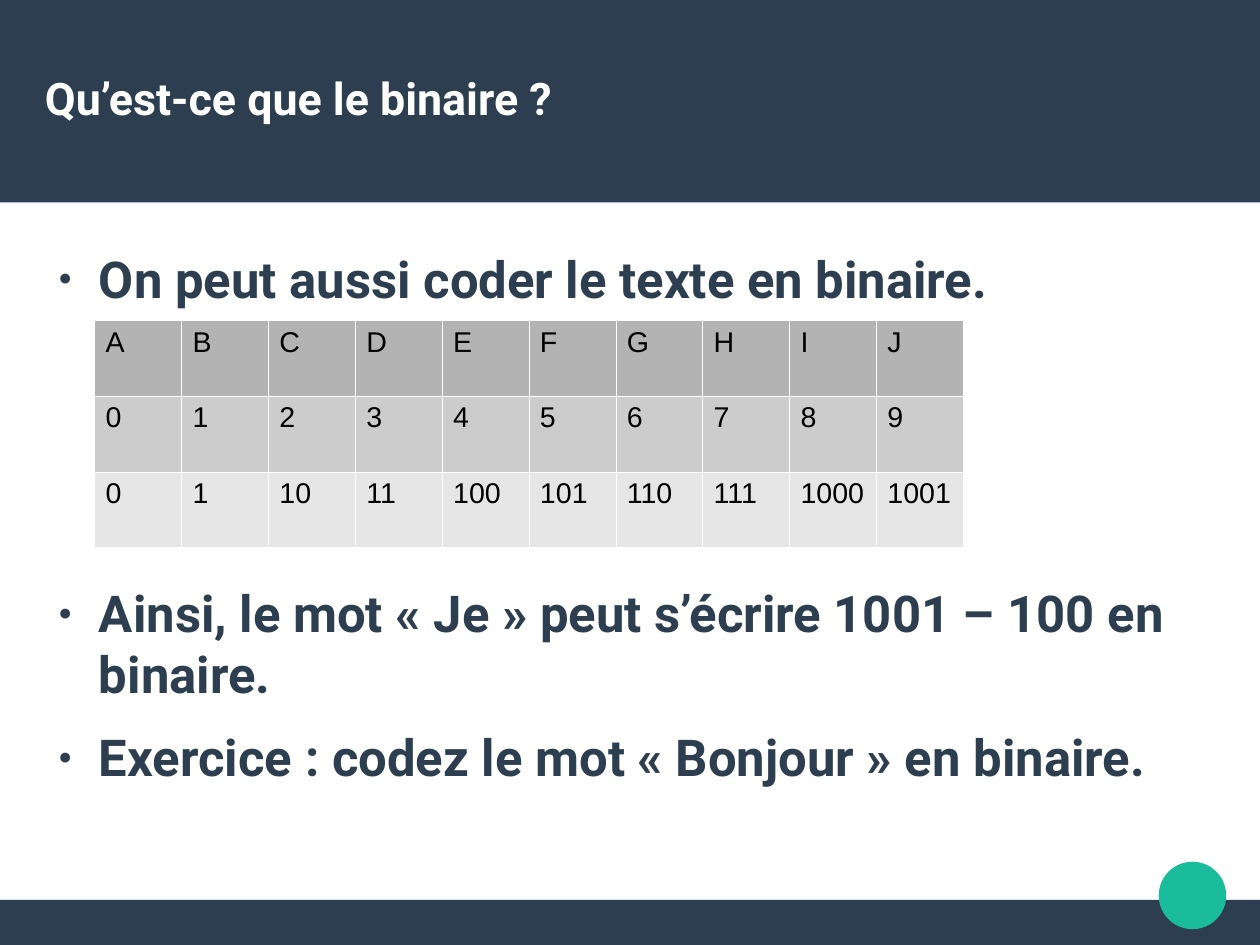
import dataclasses

import lxml.etree
import pptx
import pptx.dml.color
import pptx.enum.shapes
import pptx.enum.text
import pptx.oxml.ns
import pptx.shapes.base
import pptx.slide
import pptx.table
import pptx.text.text
import pptx.util

Cm = pptx.util.Cm
Pt = pptx.util.Pt
MSO_SHAPE = pptx.enum.shapes.MSO_SHAPE
MSO_ANCHOR = pptx.enum.text.MSO_ANCHOR

COLORS = {
    "navy": "2C3E50",
    "green": "1ABC9C",
    "white": "FFFFFF",
    "black": "000000",
    "letters": "B3B3B3",
    "decimal": "CCCCCC",
    "binary": "E6E6E6",
}
HEADING_FONT = "Roboto"
TABLE_FONT = "Arial"


@dataclasses.dataclass
class Decoration:
    preset: MSO_SHAPE
    left: float
    top: float
    width: float
    height: float
    color: str


@dataclasses.dataclass
class Point:
    text: str
    space_before: float = 0


@dataclasses.dataclass
class CodeRow:
    values: list[str]
    color: str


DECORATIONS = [
    Decoration(MSO_SHAPE.RECTANGLE, 0, 20, 28, 1, "navy"),
    Decoration(MSO_SHAPE.RECTANGLE, 0, 0, 28, 4.5, "navy"),
    Decoration(MSO_SHAPE.OVAL, 25.75, 19.15, 1.5, 1.5, "green"),
]
POINTS = [
    Point("On peut aussi coder le texte en binaire."),
    Point("Ainsi, le mot « Je » peut s’écrire 1001 – 100 en binaire.", 158),
    Point("Exercice : codez le mot « Bonjour » en binaire."),
]
CODE_ROWS = [
    CodeRow(list("ABCDEFGHIJ"), "letters"),
    CodeRow([str(number) for number in range(10)], "decimal"),
    CodeRow([f"{number:b}" for number in range(10)], "binary"),
]


def rgb(color: str) -> pptx.dml.color.RGBColor:
    return pptx.dml.color.RGBColor.from_string(COLORS[color])


def add_xml(parent: lxml.etree._Element, tag: str, **attributes: str) -> lxml.etree._Element:
    return lxml.etree.SubElement(parent, pptx.oxml.ns.qn(tag), attributes)


def add_run(paragraph: pptx.text.text._Paragraph, text: str, font_name: str,
            size: float, color: str, bold: bool = False) -> None:
    run = paragraph.add_run()
    run.text = text
    run.font.name = font_name
    run.font.size = Pt(size)
    run.font.bold = bold
    run.font.color.rgb = rgb(color)


def place_placeholder(holder: pptx.shapes.base.BaseShape, left: float, top: float,
                      width: float, height: float, anchor: MSO_ANCHOR) -> None:
    holder.left, holder.top = Cm(left), Cm(top)
    holder.width, holder.height = Cm(width), Cm(height)
    frame = holder.text_frame
    frame.margin_left = frame.margin_top = frame.margin_right = frame.margin_bottom = 0
    frame.word_wrap = True
    frame.auto_size = pptx.enum.text.MSO_AUTO_SIZE.NONE
    frame.vertical_anchor = anchor


def add_decoration(slide: pptx.slide.Slide, decoration: Decoration) -> None:
    """Draw a decoration behind the title and the body."""
    shape = slide.shapes.add_shape(
        decoration.preset, Cm(decoration.left), Cm(decoration.top),
        Cm(decoration.width), Cm(decoration.height))
    shape.shadow.inherit = False
    shape.fill.solid()
    shape.fill.fore_color.rgb = rgb(decoration.color)
    shape.line.fill.background()
    slide.shapes.title.element.addprevious(shape.element)


def fill_title(title: pptx.shapes.base.BaseShape) -> None:
    place_placeholder(title, 1, 0.84, 26, 2.67, MSO_ANCHOR.MIDDLE)
    paragraph = title.text_frame.paragraphs[0]
    paragraph.alignment = pptx.enum.text.PP_ALIGN.LEFT
    add_run(paragraph, "Qu’est-ce que le binaire ?", HEADING_FONT, 28.2, "white", True)


def add_bullet(paragraph: pptx.text.text._Paragraph) -> None:
    properties = paragraph._p.get_or_add_pPr()
    properties.set("marL", str(Cm(1.2)))
    properties.set("indent", str(Cm(-0.9)))
    add_xml(add_xml(properties, "a:buClr"), "a:srgbClr", val=COLORS["navy"])
    add_xml(properties, "a:buSzPct", val="45000")
    add_xml(properties, "a:buFont", typeface=TABLE_FONT)
    add_xml(properties, "a:buChar", char="●")


def fill_body(body: pptx.shapes.base.BaseShape) -> None:
    place_placeholder(body, 1, 5.5, 26, 14, MSO_ANCHOR.TOP)
    frame = body.text_frame
    for index, point in enumerate(POINTS):
        paragraph = frame.add_paragraph() if index else frame.paragraphs[0]
        add_bullet(paragraph)
        paragraph.space_before = Pt(point.space_before)
        paragraph.space_after = Pt(14.1)
        add_run(paragraph, point.text, HEADING_FONT, 32, "navy", True)


def format_cell(cell: pptx.table._Cell, text: str, color: str) -> None:
    properties = cell._tc.get_or_add_tcPr()
    for side in ("a:lnL", "a:lnR", "a:lnT", "a:lnB"):
        border = add_xml(properties, side, w=str(Pt(0.06)))
        add_xml(add_xml(border, "a:solidFill"), "a:srgbClr", val=COLORS["white"])
    cell.fill.solid()
    cell.fill.fore_color.rgb = rgb(color)
    cell.margin_left = cell.margin_right = Cm(0.25)
    cell.margin_top = cell.margin_bottom = Cm(0.13)
    add_run(cell.text_frame.paragraphs[0], text, TABLE_FONT, 18, "black")


def add_code_table(slide: pptx.slide.Slide) -> None:
    table = slide.shapes.add_table(
        len(CODE_ROWS), len(CODE_ROWS[0].values),
        Cm(2.1), Cm(7.12), Cm(19.3), Cm(5.04)).table
    table.first_row = False
    table.horz_banding = False
    for row_index, code_row in enumerate(CODE_ROWS):
        for column_index, value in enumerate(code_row.values):
            format_cell(table.cell(row_index, column_index), value, code_row.color)


def main() -> None:
    presentation = pptx.Presentation()
    presentation.slide_width, presentation.slide_height = Cm(28), Cm(21)
    slide = presentation.slides.add_slide(presentation.slide_layouts[1])
    for decoration in DECORATIONS:
        add_decoration(slide, decoration)
    fill_title(slide.shapes.title)
    fill_body(slide.placeholders[1])
    add_code_table(slide)
    presentation.save("out.pptx")


if __name__ == "__main__":
    main()
